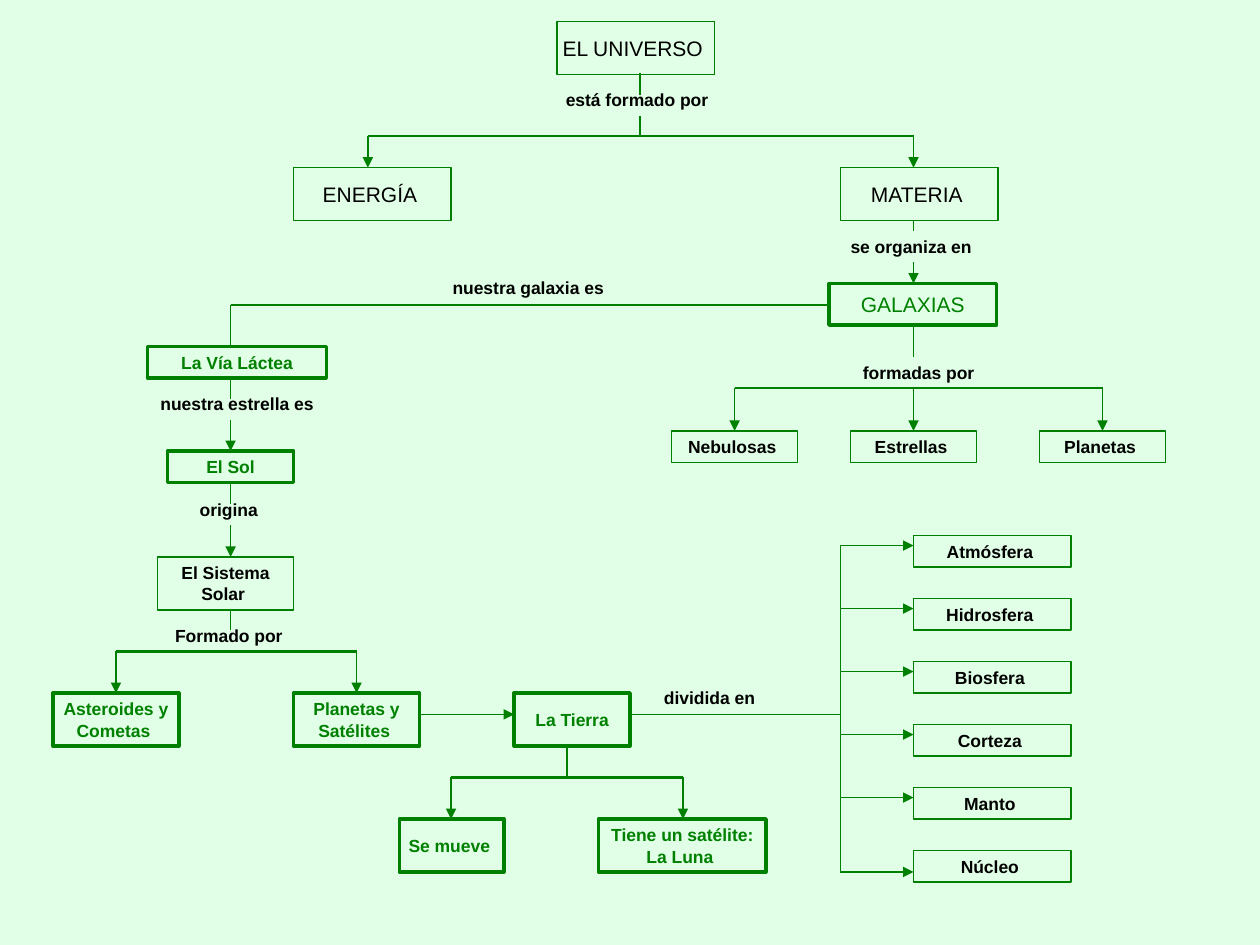
from dataclasses import dataclass

from lxml import etree
from pptx import Presentation
from pptx.dml.color import RGBColor
from pptx.enum.shapes import MSO_CONNECTOR, MSO_SHAPE
from pptx.enum.text import MSO_ANCHOR, MSO_AUTO_SIZE, PP_ALIGN
from pptx.oxml.ns import qn
from pptx.util import Inches, Pt

STRAIGHT = MSO_CONNECTOR.STRAIGHT
RECTANGLE = MSO_SHAPE.RECTANGLE
MIDDLE = MSO_ANCHOR.MIDDLE
FIT_SHAPE = MSO_AUTO_SIZE.SHAPE_TO_FIT_TEXT
LEFT, CENTER = PP_ALIGN.LEFT, PP_ALIGN.CENTER


@dataclass(frozen=True)
class Theme:
    font: str = "Arial"
    background: RGBColor = RGBColor(0xE1, 0xFF, 0xE6)
    green: RGBColor = RGBColor(0x00, 0x80, 0x00)
    black: RGBColor = RGBColor(0x00, 0x00, 0x00)
    heading_size: float = 12
    body_size: float = 10
    thin: float = 0.75
    bar: float = 1.5


@dataclass(frozen=True)
class NodeStyle:
    size: float
    color: RGBColor
    bold: bool
    border: float


THEME = Theme()
HEADING = NodeStyle(THEME.heading_size, THEME.black, False, THEME.thin)
KEY_HEADING = NodeStyle(THEME.heading_size, THEME.green, False, 2)
PLAIN = NodeStyle(THEME.body_size, THEME.black, True, 1)
KEY = NodeStyle(THEME.body_size, THEME.green, True, 2)

NODES = [
    ("EL UNIVERSO ", 4.42, 0.17, 1.25, 0.42, HEADING),
    ("ENERGÍA ", 2.33, 1.33, 1.25, 0.42, HEADING),
    ("MATERIA ", 6.67, 1.33, 1.25, 0.42, HEADING),
    ("GALAXIAS", 6.58, 2.25, 1.33, 0.33, KEY_HEADING),
    ("Nebulosas ", 5.33, 3.42, 1, 0.25, PLAIN),
    ("Estrellas ", 6.75, 3.42, 1, 0.25, PLAIN),
    ("Planetas ", 8.25, 3.42, 1, 0.25, PLAIN),
    ("La Vía Láctea", 1.17, 2.75, 1.42, 0.25, KEY),
    ("El Sol", 1.33, 3.58, 1, 0.25, KEY),
    ("El Sistema\nSolar ", 1.25, 4.42, 1.08, 0.42, PLAIN),
    ("Asteroides y\nCometas ", 0.42, 5.5, 1, 0.42, KEY),
    ("Planetas y\nSatélites ", 2.33, 5.5, 1, 0.42, KEY),
    ("La Tierra", 4.08, 5.5, 0.92, 0.42, KEY),
    ("Se mueve ", 3.17, 6.5, 0.83, 0.42, KEY),
    ("Tiene un satélite:\nLa Luna ", 4.75, 6.5, 1.33, 0.42, KEY),
]
EARTH_LAYERS = ["Atmósfera ", "Hidrosfera ", "Biosfera ",
                "Corteza ", "Manto ", "Núcleo "]
LINKS = [
    ("está formado por", 4.4, 0.67, 1.35, LEFT),
    ("se organiza en", 6.66, 1.83, 1.18, LEFT),
    ("nuestra galaxia es ", 3.5, 2.16, 1.42, CENTER),
    ("formadas por ", 6.75, 2.83, 1.08, CENTER),
    ("nuestra estrella es ", 1.17, 3.08, 1.42, CENTER),
    ("origina ", 1.42, 3.92, 0.83, CENTER),
    ("Formado por ", 1.25, 4.92, 1.17, CENTER),
    ("dividida en ", 5.17, 5.41, 0.92, CENTER),
]
# Vertical stems: x, top, bottom, arrow
STEMS = [
    (5.08, 0.58, 0.75, False), (5.08, 0.92, 1.08, False),
    (7.25, 1.75, 1.83, False), (7.25, 2.08, 2.25, True),
    (7.25, 2.58, 2.83, False),
    (1.83, 2.42, 2.75, False),
    (1.83, 3, 3.17, False), (1.83, 3.33, 3.58, True),
    (1.83, 3.83, 4, False), (1.83, 4.17, 4.42, True),
    (1.83, 4.83, 5, False),
    (4.5, 5.92, 6.17, False),
]
# Branches: height of the bar, height of the arrow tips, x of each arrow
BRANCHES = [
    (1.08, 1.33, [2.92, 7.25]),
    (3.08, 3.42, [5.83, 7.25, 8.75]),
    (5.17, 5.5, [0.92, 2.83]),
    (6.17, 6.5, [3.58, 5.42]),
]


class ConceptMap:
    def __init__(self, slide, theme):
        self.slide = slide
        self.theme = theme
        slide.background.fill.solid()
        slide.background.fill.fore_color.rgb = theme.background

    def add_text(self, frame, text, size, color, bold, align):
        frame.margin_left = frame.margin_right = Inches(0.09)
        frame.margin_top = frame.margin_bottom = Inches(0.04)
        for index, line in enumerate(text.split("\n")):
            paragraph = frame.add_paragraph() if index else frame.paragraphs[0]
            paragraph.alignment = align
            run = paragraph.add_run()
            run.text = line
            run.font.name = self.theme.font
            run.font.size = Pt(size)
            run.font.bold = bold
            run.font.color.rgb = color

    def node(self, text, left, top, width, height, style):
        box = self.slide.shapes.add_shape(
            RECTANGLE, Inches(left), Inches(top), Inches(width), Inches(height))
        box.shadow.inherit = False
        box.fill.solid()
        box.fill.fore_color.rgb = self.theme.background
        box.line.color.rgb = self.theme.green
        box.line.width = Pt(style.border)
        box.text_frame.word_wrap = False
        box.text_frame.vertical_anchor = MIDDLE
        self.add_text(box.text_frame, text, style.size, style.color,
                      style.bold, CENTER)

    def link(self, text, left, top, width, align):
        """Add the linking words between two concepts."""
        box = self.slide.shapes.add_textbox(
            Inches(left), Inches(top), Inches(width), Inches(0.26))
        box.text_frame.word_wrap = align == CENTER
        box.text_frame.auto_size = FIT_SHAPE
        self.add_text(box.text_frame, text, self.theme.body_size,
                      self.theme.black, True, align)

    def line(self, x1, y1, x2, y2, width=None, arrow=False):
        connector = self.slide.shapes.add_connector(
            STRAIGHT, Inches(x1), Inches(y1), Inches(x2), Inches(y2))
        connector.line.color.rgb = self.theme.green
        connector.line.width = Pt(width or self.theme.thin)
        properties = connector.element.spPr
        if arrow:
            etree.SubElement(properties.find(qn("a:ln")),
                             qn("a:tailEnd"), type="triangle")
        etree.SubElement(properties, qn("a:effectLst"))

    def branch(self, bar_y, tip_y, columns):
        """Draw a thick bar with an arrow down from it at each column."""
        self.line(columns[0], bar_y, columns[-1], bar_y, self.theme.bar)
        for x in columns:
            self.line(x, bar_y, x, tip_y, arrow=True)

    def layers(self, names, spine_x, left, first_top, pitch):
        """Stack the Earth's layers, each joined by an arrow to one spine."""
        tops = [first_top + pitch * i for i in range(len(names))]
        arrow_heights = [top + 0.08 for top in tops[:-1]] + [tops[-1] + 0.17]
        self.line(spine_x, arrow_heights[0], spine_x, arrow_heights[-1])
        for name, top, y in zip(names, tops, arrow_heights):
            self.node(name, left, top, 1.25, 0.25, PLAIN)
            self.line(spine_x, y, left, y, arrow=True)


def main():
    presentation = Presentation()
    presentation.slide_width = Inches(10)
    presentation.slide_height = Inches(7.5)
    slide = presentation.slides.add_slide(presentation.slide_layouts[6])
    universe = ConceptMap(slide, THEME)

    for node in NODES:
        universe.node(*node)
    universe.layers(EARTH_LAYERS, spine_x=6.67, left=7.25, first_top=4.25, pitch=0.5)
    for x, top, bottom, arrow in STEMS:
        universe.line(x, top, x, bottom, arrow=arrow)
    for branch in BRANCHES:
        universe.branch(*branch)
    universe.line(6.58, 2.42, 1.83, 2.42, THEME.bar)
    universe.line(3.33, 5.67, 4.08, 5.67, arrow=True)
    universe.line(5, 5.67, 6.67, 5.67)
    for link in LINKS:
        universe.link(*link)

    presentation.save("out.pptx")


if __name__ == "__main__":
    main()
